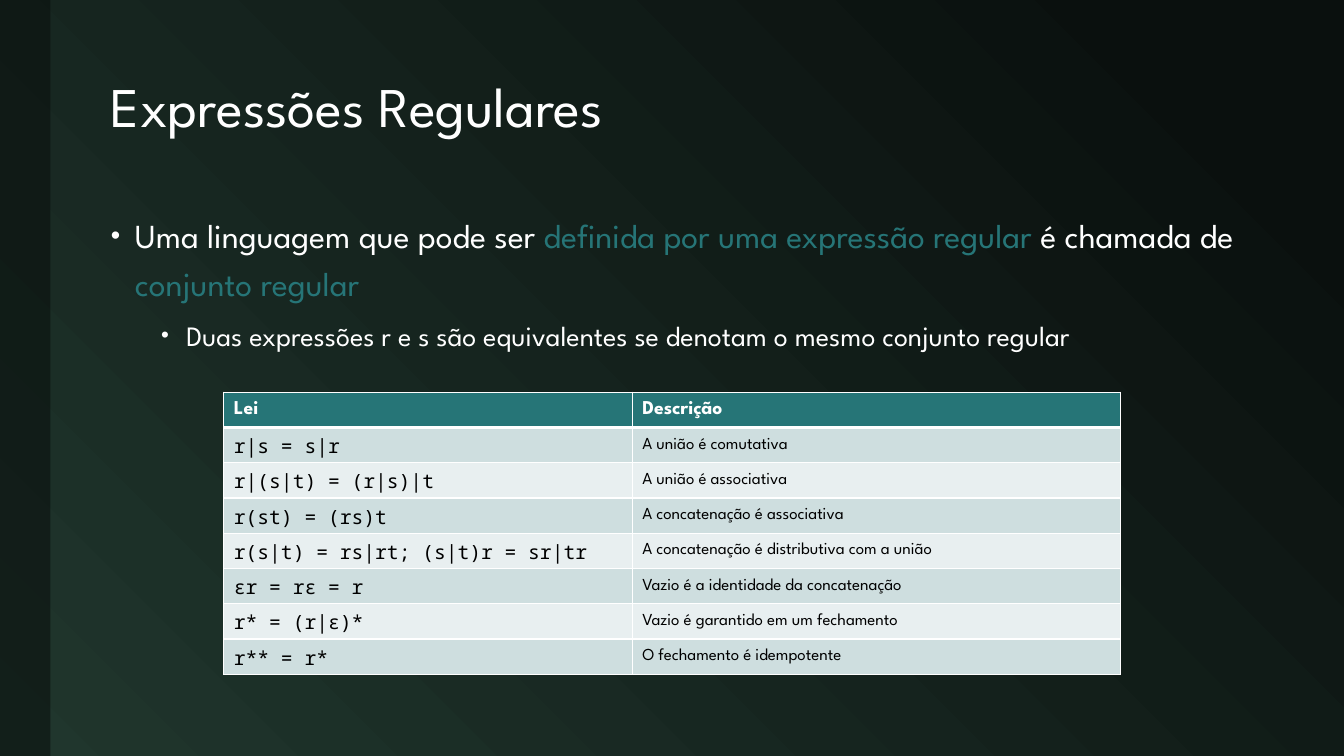
from lxml import etree
from pptx import Presentation
from pptx.dml.color import RGBColor
from pptx.enum.shapes import MSO_SHAPE
from pptx.enum.text import MSO_ANCHOR
from pptx.oxml.ns import qn
from pptx.util import Inches, Pt

RECT = MSO_SHAPE.RECTANGLE
MIDDLE, TOP = MSO_ANCHOR.MIDDLE, MSO_ANCHOR.TOP
SANS, MONO = "League Spartan", "Noto Sans Mono"
WHITE, BLACK, TEAL = "FFFFFF", "000000", "267577"
DARK, GREEN = "0A100E", "20362D"
BANDS = ["CEDEDF", "E8EFF0"]

HEAD = {"name": SANS, "size": Pt(14), "bold": True}
LAW = {"name": MONO, "size": Pt(14), "bold": False}
NOTE = {"name": SANS, "size": Pt(12), "bold": False}

BODY = [
    (24, 0, 0.24, 0.24, 0, [
        ("Uma linguagem que pode ser ", WHITE),
        ("definida por uma expressão regular ", TEAL),
        ("é chamada de ", WHITE),
        ("conjunto regular", TEAL)]),
    (20, 1, 0.75, 0.25, 6, [
        ("Duas expressões r e s são equivalentes se denotam "
         "o mesmo conjunto regular", WHITE)]),
]

LAWS = [
    ("Lei", "Descrição"),
    ("r|s = s|r", "A união é comutativa"),
    ("r|(s|t) = (r|s)|t", "A união é associativa"),
    ("r(st) = (rs)t", "A concatenação é associativa"),
    ("r(s|t) = rs|rt; (s|t)r = sr|tr",
     "A concatenação é distributiva com a união"),
    ("ϵr = rϵ = r", "Vazio é a identidade da concatenação"),
    ("r* = (r|ϵ)*", "Vazio é garantido em um fechamento"),
    ("r** = r*", "O fechamento é idempotente"),
]


def rgb(code):
    """Return a colour from its hex string."""
    return RGBColor.from_string(code)


def put(item, values):
    """Set each attribute named in a dict."""
    for name, value in values.items():
        setattr(item, name, value)


def child(parent, tag, **attrs):
    """Append a drawing element with attributes."""
    node = etree.SubElement(parent, qn(tag))
    for name, value in attrs.items():
        node.set(name, str(value))
    return node


def add_run(para, text, color, form):
    """Add one formatted run to a paragraph."""
    run = para.add_run()
    run.text = text
    put(run.font, form)
    run.font.color.rgb = rgb(color)


def add_box(slide, left, top, width, height, anchor):
    """Add a wrapping text box and return its frame."""
    area = map(Inches, (left, top, width, height))
    frame = slide.shapes.add_textbox(*area).text_frame
    put(frame, {"word_wrap": True, "vertical_anchor": anchor})
    return frame


def add_back(slide):
    """Paint the diagonal gradient and the side strip."""
    fill = slide.background.fill
    fill.gradient()
    fill.gradient_angle = 225
    for stop, place, code in zip(fill.gradient_stops, (0.1, 1), (DARK, GREEN)):
        stop.position = place
        stop.color.rgb = rgb(code)
    strip = slide.shapes.add_shape(RECT, 0, 0, Inches(0.5), Inches(7.5))
    strip.shadow.inherit = False
    strip.line.fill.background()
    strip.fill.solid()
    strip.fill.fore_color.rgb = rgb(DARK)
    tone = strip.fill._xPr.find(".//" + qn("a:srgbClr"))
    child(tone, "a:alpha", val=60000)


def add_title(slide, text):
    """Add the slide title."""
    para = add_box(slide, 1, 0.42, 11.65, 1.33, MIDDLE).paragraphs[0]
    para.line_spacing = 0.9
    add_run(para, text, WHITE, {"name": SANS, "size": Pt(40)})


def add_body(slide, items):
    """Add the bulleted text."""
    frame = add_box(slide, 1, 2, 11.65, 4.83, TOP)
    for index, (size, level, left, hang, before, runs) in enumerate(items):
        para = frame.add_paragraph() if index else frame.paragraphs[0]
        props = para._p.get_or_add_pPr()
        props.set("marL", str(Inches(left)))
        props.set("indent", str(-Inches(hang)))
        child(props, "a:buSzPct", val=80000)
        child(props, "a:buFont", typeface="Arial")
        child(props, "a:buChar", char="•")
        put(para, {"level": level, "line_spacing": 1.2,
                   "space_before": Pt(before)})
        for text, color in runs:
            add_run(para, text, color, {"name": SANS, "size": Pt(size)})


def edge(cell, low):
    """Draw white borders, with the given bottom width."""
    props = cell._tc.get_or_add_tcPr()
    for side, width in zip("LRTB", (1, 1, 1, low)):
        line = child(props, "a:ln" + side, w=Pt(width))
        child(child(line, "a:solidFill"), "a:srgbClr", val=WHITE)


def add_cell(cell, text, form, color, fill, anchor, low):
    """Fill and format one table cell."""
    edge(cell, low)
    cell.fill.solid()
    cell.fill.fore_color.rgb = rgb(fill)
    cell.vertical_anchor = anchor
    add_run(cell.text_frame.paragraphs[0], text, color, form)


def add_laws(slide, rows):
    """Add the table of laws."""
    area = map(Inches, (2.22, 3.89, 8.89, 2.79))
    table = slide.shapes.add_table(len(rows), 2, *area).table
    for col, width in zip(table.columns, (4.05, 4.84)):
        col.width = Inches(width)
    for r, texts in enumerate(rows):
        table.rows[r].height = Inches(0.35)
        for c, text in enumerate(texts):
            cell = table.cell(r, c)
            if r == 0:
                add_cell(cell, text, HEAD, WHITE, TEAL, MIDDLE, 3)
            else:
                form, anchor = ((LAW, TOP), (NOTE, MIDDLE))[c]
                fill = BANDS[(r - 1) % 2]
                add_cell(cell, text, form, BLACK, fill, anchor, 1)


def main():
    """Build and save the slide."""
    deck = Presentation()
    put(deck, {"slide_width": Inches(13.33), "slide_height": Inches(7.5)})
    slide = deck.slides.add_slide(deck.slide_layouts[6])
    add_back(slide)
    add_title(slide, "Expressões Regulares")
    add_body(slide, BODY)
    add_laws(slide, LAWS)
    deck.save("out.pptx")


if __name__ == "__main__":
    main()
